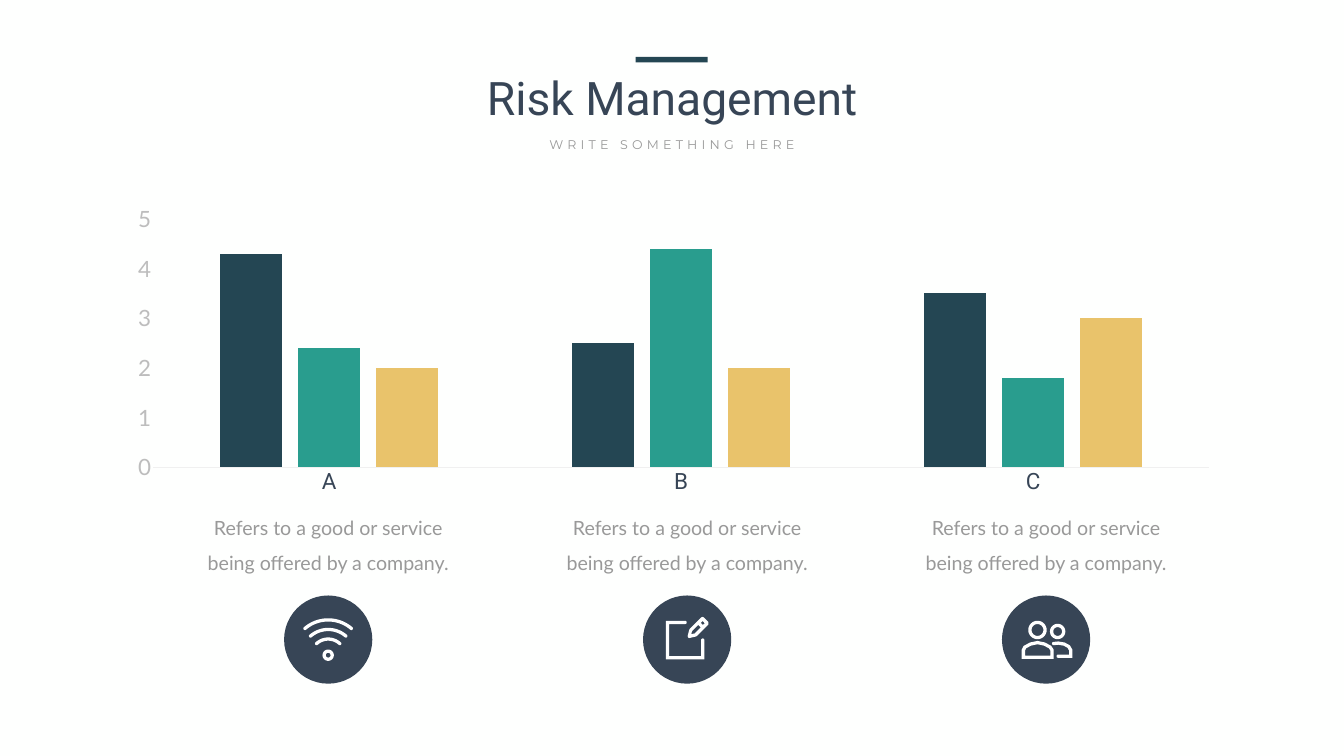
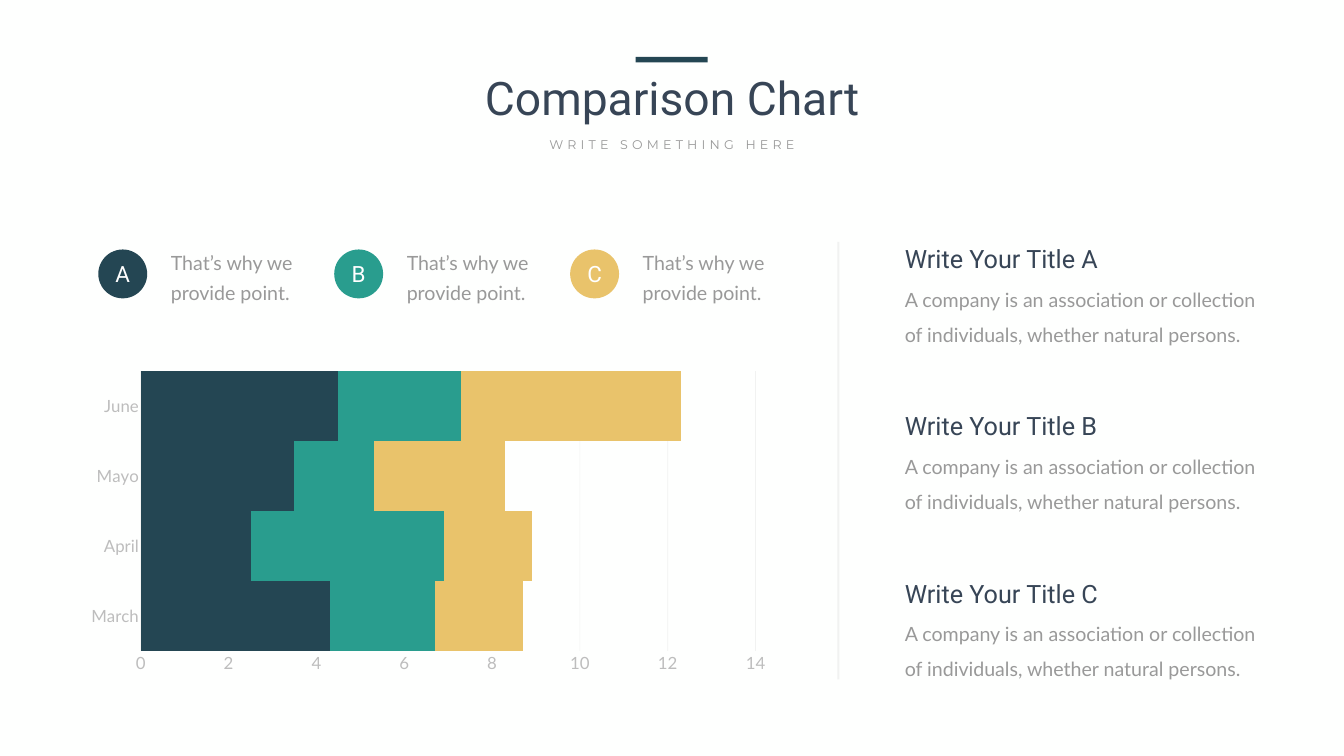
import math
from dataclasses import dataclass

from lxml import etree
from pptx import Presentation
from pptx import util as u
from pptx.chart.data import CategoryChartData
from pptx.dml.color import RGBColor
from pptx.enum import chart as ch, shapes, text
from pptx.oxml import parse_xml
from pptx.oxml.ns import nsdecls, qn


@dataclass(frozen=True)
class Theme:
    paper: str = "FEFFFE"
    white: str = "FFFFFF"
    ink: str = "374556"
    body: str = "999999"
    pale: str = "BDBDBD"
    axis: str = "F0F0F0"
    rule: str = "808080"
    series: tuple = ("244653", "299D8E", "E9C36B")
    head: str = "Roboto"
    sans: str = "Lato"
    sub: str = "Montserrat"
    title_size: int = 66
    section_size: int = 36
    label_size: int = 32
    body_size: int = 28
    axis_size: int = 24
    sub_size: int = 18


T = Theme()
WIDTH, HEIGHT = 26.66, 15
PEN = 0.065  # icon stroke width

# Content
SUBTITLE = "WRITE SOMETHING HERE"
RISK = {
    "title": "Risk Management",
    "cats": ["A", "B", "C"],
    "values": [[4.3, 2.5, 3.5], [2.4, 4.4, 1.8], [2, 2, 3]],
    "note": "Refers to a good or service being offered by a company.",
}
COMPARISON = {
    "title": "Comparison Chart",
    "cats": ["March", "April", "Mayo", "June"],
    "values": [[4.3, 2.5, 3.5, 4.5], [2.4, 4.4, 1.8, 2.8], [2, 2, 3, 5]],
    "letters": "ABC",
    "point": "That’s why we provide point.",
    "heading": "Write Your Title ",
    "note": "A company is an association or collection of individuals, "
            "whether natural persons.",
}


# Icon geometry, in inches from the centre of the disc
def circle(x, y, radius, steps=32):
    return [(x + radius * math.cos(2 * math.pi * i / steps),
             y + radius * math.sin(2 * math.pi * i / steps)) for i in range(steps)]


def arch(top, half, rise, steps=20):
    """Points of a shallow arc, rising to `top` above the centre line."""
    radius = (half ** 2 + rise ** 2) / (2 * rise)
    reach = math.asin(half / radius)
    angles = [reach * (2 * i / steps - 1) for i in range(steps + 1)]
    return [(radius * math.sin(a), top + radius * (1 - math.cos(a))) for a in angles]


def ribbon(points, closed=False):
    """Outline of a pen stroke: two rings if closed, else one with round caps."""
    count, half = len(points), PEN / 2
    pairs = list(zip(points, points[1:] + points[:1]))
    normals = [((a[1] - b[1]) / math.dist(a, b), (b[0] - a[0]) / math.dist(a, b))
               for a, b in pairs]
    if not closed:
        normals[-1] = normals[-2]
    sides = ([], [])
    for i, (x, y) in enumerate(points):
        before = normals[i - 1] if closed or i else normals[0]
        after = normals[i]
        scale = half / (1 + before[0] * after[0] + before[1] * after[1])
        dx, dy = (before[0] + after[0]) * scale, (before[1] + after[1]) * scale
        sides[0].append((x + dx, y + dy))
        sides[1].append((x - dx, y - dy))
    if closed:
        return list(sides)

    def cap(point, normal, sign):
        start = math.atan2(sign * normal[1], sign * normal[0])
        return [(point[0] + half * math.cos(start - math.pi * k / 6),
                 point[1] + half * math.sin(start - math.pi * k / 6)) for k in range(1, 6)]

    return [sides[0] + cap(points[count - 1], normals[-1], 1)
            + sides[1][::-1] + cap(points[0], normals[0], -1)]


def ring(x, y, radius):
    return ribbon(circle(x, y, radius), closed=True)


WIFI = [ribbon(arch(-0.39, 0.46, 0.17)), ribbon(arch(-0.2, 0.35, 0.13)),
        ribbon(arch(-0.01, 0.23, 0.09)), ring(0, 0.31, 0.08)]
PENCIL = [
    [(0.42, -0.35), (0.33, -0.44), (0.31, -0.45), (0.28, -0.44), (0.05, -0.21),
     (0.04, -0.19), (0.01, -0.07), (0.02, -0.04), (0.04, -0.03), (0.17, -0.06),
     (0.19, -0.07), (0.42, -0.3)],
    [(0.31, -0.29), (0.27, -0.33), (0.31, -0.37), (0.35, -0.32)],
    [(0.15, -0.12), (0.08, -0.11), (0.1, -0.17), (0.22, -0.29), (0.27, -0.24)],
]
EDIT = [ribbon([(0.31, 0.01), (0.31, 0.36), (-0.39, 0.36), (-0.39, -0.34), (-0.04, -0.34)]),
        PENCIL]
PEOPLE = [
    ring(-0.17, -0.19, 0.15),
    ribbon([(-0.45, 0.35), (0.12, 0.35), (0.12, 0.21), (0.08, 0.15), (-0.03, 0.09),
            (-0.17, 0.06), (-0.31, 0.09), (-0.42, 0.15), (-0.45, 0.21)], closed=True),
    ring(0.23, -0.16, 0.12),
    ribbon([(0.24, 0.33), (0.49, 0.33), (0.49, 0.21), (0.45, 0.14), (0.36, 0.09),
            (0.24, 0.07), (0.15, 0.08)]),
]


# Drawing helpers
def rgb(value):
    return RGBColor.from_string(value)


def inches(*lengths):
    return [u.Inches(length) for length in lengths]


def style_font(font, face, size, color):
    font.name, font.size = face, u.Pt(size)
    font.color.rgb = rgb(color)


def write(box, words, face, size, color, align=text.PP_ALIGN.LEFT, spacing=None):
    frame = box.text_frame
    frame.word_wrap = True
    frame.auto_size = text.MSO_AUTO_SIZE.SHAPE_TO_FIT_TEXT
    frame.vertical_anchor = text.MSO_ANCHOR.TOP
    para = frame.paragraphs[0]
    para.alignment = align
    if spacing:
        para.line_spacing = spacing
    span = para.add_run()
    span.text = words
    style_font(span.font, face, size, color)
    return span


def add_text(page, at, *args, **kwargs):
    box = page.shapes.add_textbox(*inches(*at))
    return box, write(box, *args, **kwargs)


def paint(shape, color):
    shape.fill.solid()
    shape.fill.fore_color.rgb = rgb(color)
    shape.line.fill.background()
    shape.shadow.inherit = False


def add_solid(page, kind, at, color):
    paint(page.shapes.add_shape(kind, *inches(*at)), color)


def fade(color_elements, percent):
    for element in color_elements:
        etree.SubElement(element, qn("a:alpha")).set("val", str(percent * 1000))


def add_icon(page, x, y, parts, size=1.75):
    add_solid(page, shapes.MSO_SHAPE.OVAL, (x - size / 2, y - size / 2, size, size), T.ink)
    for contours in parts:
        placed = [[(u.Inches(x + dx), u.Inches(y + dy)) for dx, dy in contour]
                  for contour in contours]
        builder = page.shapes.build_freeform(*placed[0][0])
        builder.add_line_segments(placed[0][1:], close=True)
        for contour in placed[1:]:
            builder.move_to(*contour[0])
            builder.add_line_segments(contour[1:], close=True)
        paint(builder.convert_to_shape(), T.white)


def add_bars(page, kind, at, content, plot_share, top, step, gap, overlap, base_font):
    data = CategoryChartData()
    data.categories = content["cats"]
    for number, values in enumerate(content["values"], 1):
        data.add_series(f"Series {number}", values)
    chart = page.shapes.add_chart(kind, *inches(*at), data).chart
    chart.has_legend = chart.has_title = False
    style_font(chart.font, *base_font, T.body)
    plot = chart.plots[0]
    plot.gap_width, plot.overlap, plot.vary_by_categories = gap, overlap, False
    for series, color in zip(plot.series, T.series):
        series.format.fill.solid()
        series.format.fill.fore_color.rgb = rgb(color)
        series.invert_if_negative = False
    for axis in (chart.category_axis, chart.value_axis):
        axis.major_tick_mark = axis.minor_tick_mark = ch.XL_TICK_MARK.NONE
        axis.has_major_gridlines = False
        style_font(axis.tick_labels.font, T.sans, T.axis_size, T.pale)
    line = chart.category_axis.format.line
    line.color.rgb, line.width = rgb(T.axis), u.Pt(0.75)
    values = chart.value_axis
    values.format.line.fill.background()
    values.minimum_scale, values.maximum_scale, values.major_unit = 0, top, step

    # Fixed inner plot area, as shares of the chart frame
    area = chart.element.xpath(".//c:plotArea")[0]
    for old in area.findall(qn("c:layout")):
        area.remove(old)
    marks = "".join(f'<c:{side}Mode val="edge"/>' for side in "xy")
    marks += "".join(f'<c:{side} val="{share}"/>' for side, share in zip("xywh", plot_share))
    area.insert(0, parse_xml(
        f'<c:layout {nsdecls("c")}><c:manualLayout><c:layoutTarget val="inner"/>'
        f'{marks}</c:manualLayout></c:layout>'))
    return chart


def add_page(deck, title):
    page = deck.slides.add_slide(deck.slide_layouts[5])
    box = page.shapes.title
    box.left, box.top, box.width, box.height = inches(7.74, 1.32, 11.19, 1.21)
    center = text.PP_ALIGN.CENTER
    write(box, title, T.head, T.title_size, T.ink, center)
    _, span = add_text(page, (10.35, 2.66, 5.96, 0.4), SUBTITLE, T.sub, T.sub_size,
                       T.body, center)
    span.font._element.set("spc", "600")
    add_solid(page, shapes.MSO_SHAPE.RECTANGLE, (12.61, 1.13, 1.43, 0.11), T.series[0])
    return page


# Slides
def risk_page(deck):
    page = add_page(deck, RISK["title"])
    chart = add_bars(page, ch.XL_CHART_TYPE.COLUMN_CLUSTERED, (2.24, 3.96, 22.19, 5.99),
                     RISK, (0.036, 0.064, 0.944, 0.822), 5, 1, 219, -27,
                     (T.sub, T.body_size))
    style_font(chart.category_axis.tick_labels.font, T.head, T.label_size, T.ink)
    chart.value_axis.tick_labels.font.size = u.Pt(T.label_size)
    note_width = 5.31
    for column, icon in enumerate((WIFI, EDIT, PEOPLE)):
        middle = 6.51 + 7.12 * column
        box, _ = add_text(page, (middle - note_width / 2, 9.88, note_width, 1.56),
                          RISK["note"], T.sans, T.body_size, T.body,
                          text.PP_ALIGN.CENTER, 1.5)
        frame = box.text_frame
        frame.margin_left = frame.margin_right = u.Inches(0.24)
        frame.margin_top = frame.margin_bottom = u.Inches(0.12)
        add_icon(page, middle, 12.69, icon)


def comparison_page(deck):
    page = add_page(deck, COMPARISON["title"])
    chart = add_bars(page, ch.XL_CHART_TYPE.BAR_STACKED, (1.54, 7.25, 13.92, 6.24),
                     COMPARISON, (0.09, 0.018, 0.876, 0.89), 14, 2, 0, 100,
                     (T.sans, T.axis_size))
    chart.value_axis.has_major_gridlines = True
    grid = chart.value_axis.major_gridlines.format.line
    grid.color.rgb, grid.width = rgb(T.rule), u.Pt(1)
    fade(chart.element.xpath(".//c:majorGridlines//a:srgbClr"), 10)

    for index, letter in enumerate(COMPARISON["letters"]):
        # Key above the chart
        left = 1.95 + 4.68 * index
        add_solid(page, shapes.MSO_SHAPE.OVAL, (left, 4.95, 0.97, 0.97), T.series[index])
        add_text(page, (left + 0.19, 5.11, 0.59, 0.64), letter, T.head, T.label_size,
                 T.white, text.PP_ALIGN.CENTER)
        add_text(page, (left + 1.34, 4.8, 2.81, 1.24), COMPARISON["point"], T.sans,
                 T.body_size, T.body, spacing=u.Pt(43))
        # Text column on the right
        top = 4.78 + 3.32 * index
        add_text(page, (17.85, top + 0.64, 7.27, 1.44), COMPARISON["note"], T.sans,
                 T.body_size, T.body, spacing=1.5)
        add_text(page, (17.85, top, 4.63, 0.71), COMPARISON["heading"] + letter, T.head,
                 T.section_size, T.ink)

    divider = page.shapes.add_connector(shapes.MSO_CONNECTOR.STRAIGHT,
                                        *inches(16.63, 4.8, 16.63, 13.48))
    divider.line.color.rgb, divider.line.width = rgb(T.rule), u.Pt(3)
    fade(divider.element.iter(qn("a:srgbClr")), 10)
    etree.SubElement(divider.element.spPr, qn("a:effectLst"))


def main():
    deck = Presentation()
    deck.slide_width, deck.slide_height = inches(WIDTH, HEIGHT)
    backdrop = deck.slide_master.background.fill
    backdrop.solid()
    backdrop.fore_color.rgb = rgb(T.paper)
    risk_page(deck)
    comparison_page(deck)
    deck.save("out.pptx")


if __name__ == "__main__":
    main()
